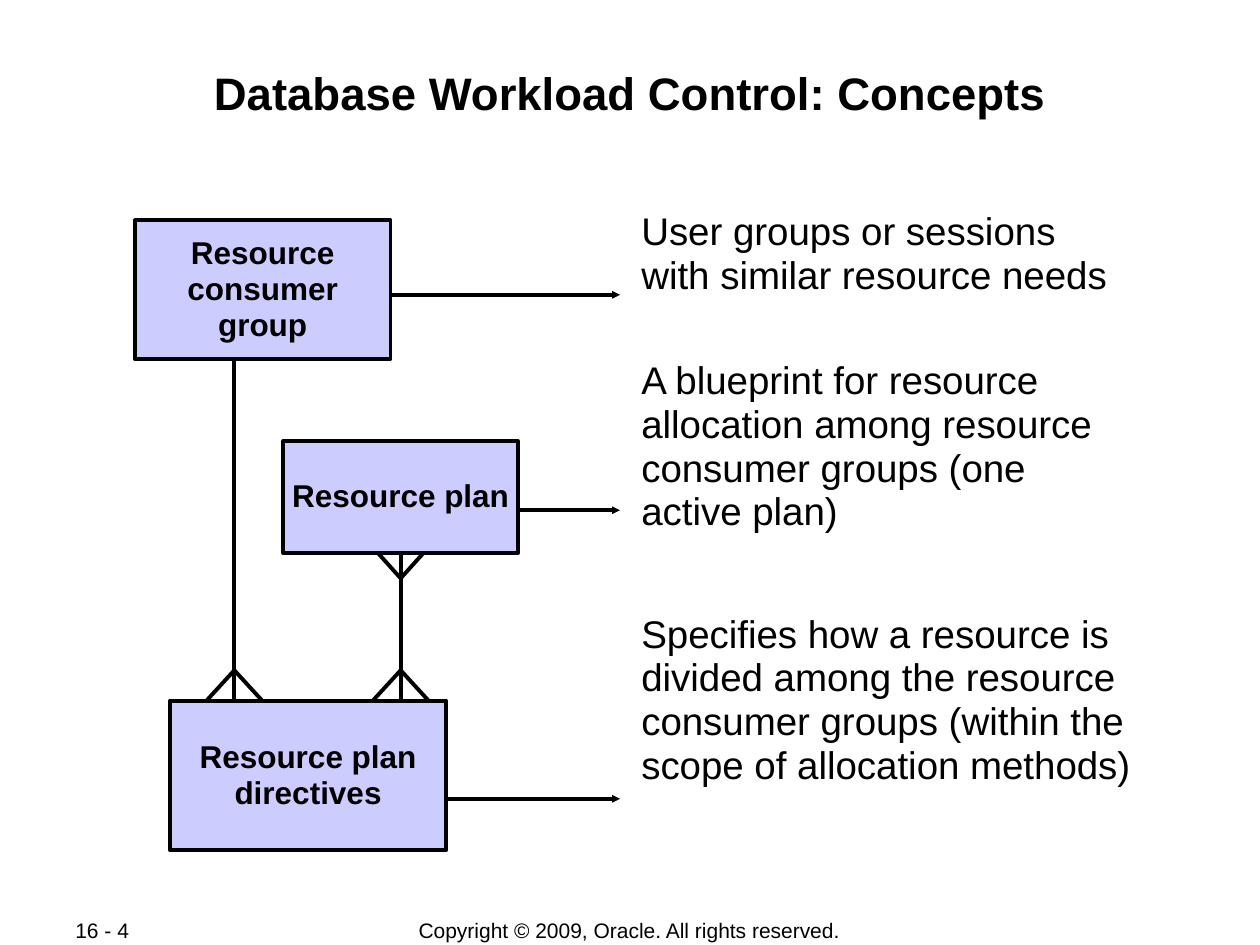
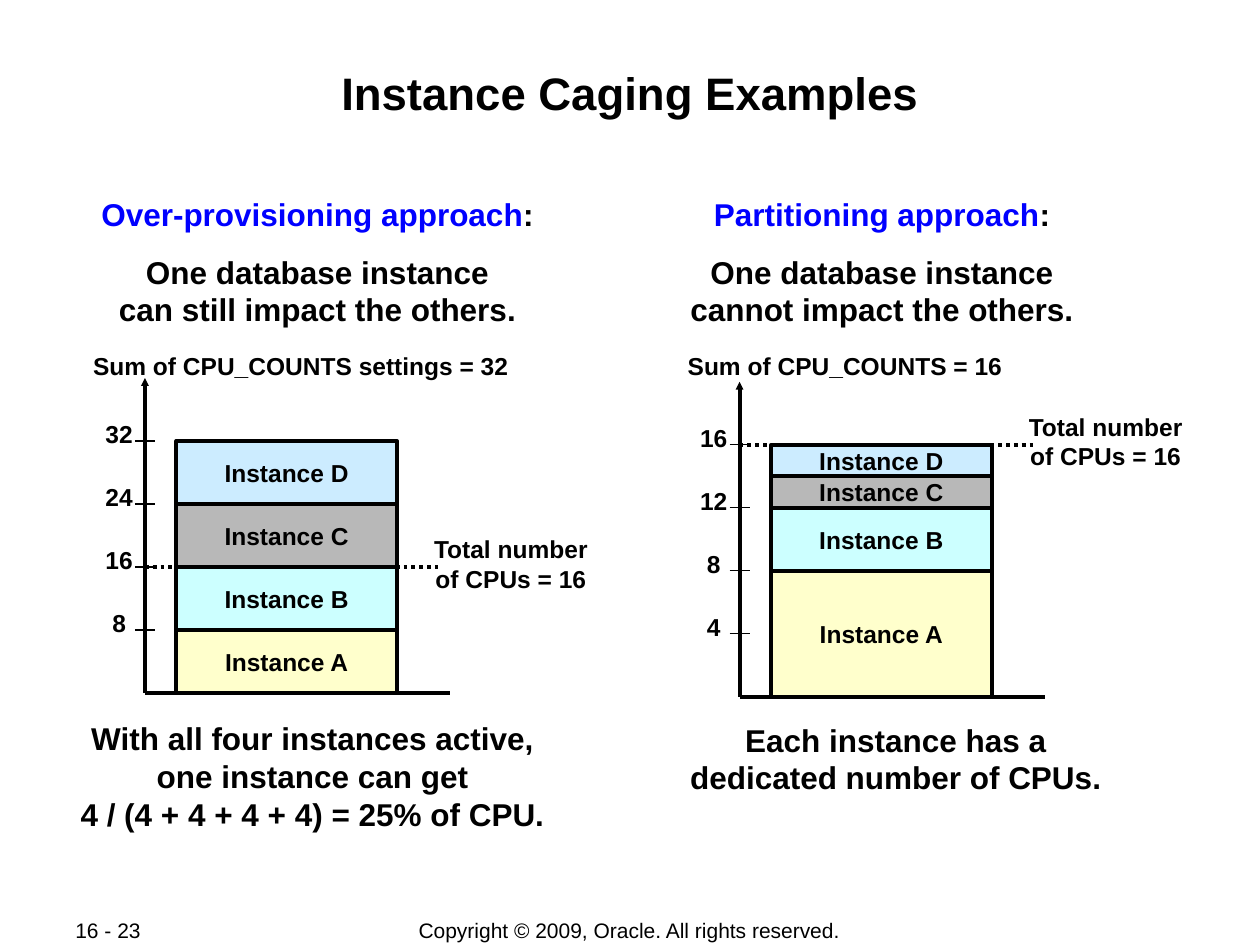
"""Build two database workload slides: concepts and instance caging."""
from lxml.etree import SubElement
from pptx import Presentation
from pptx.dml.color import RGBColor
from pptx.enum.dml import MSO_LINE
from pptx.enum.shapes import MSO_CONNECTOR, MSO_SHAPE
from pptx.enum.text import MSO_ANCHOR, MSO_AUTO_SIZE, PP_ALIGN
from pptx.oxml.ns import qn
from pptx.util import Inches, Pt

WIDTH, HEIGHT = Inches(10), Inches(7.5)
COLUMN, ROW = WIDTH / 100, HEIGHT / 75
FONT = "Arial"
COPYRIGHT = "Copyright © 2009, Oracle. All rights reserved."
COLORS = {
    "ink": "000000", "heading": "0000FF", "concept": "CCCCFF",
    "Instance A": "FFFFCC", "Instance B": "CCFFFF",
    "Instance C": "B8B8B8", "Instance D": "CCECFF",
}
THICK, THIN = 2.25, 0.75
BOTTOM = 2
ARROW_END = 49.2
TICK_STEP = 5
TIGHT, EVEN, WIDE = (0.01, 0.01), (0.05, 0.05), (0.1, 0.05)


def color(name):
    """Return the named palette colour."""
    return RGBColor.from_string(COLORS[name])


def apply(target, values):
    """Set every attribute in values on target."""
    for name, value in values.items():
        setattr(target, name, value)


def area(left, top, width, height):
    """Turn grid columns and rows into slide lengths."""
    return [round(value) for value in
            (left * COLUMN, top * ROW, width * COLUMN, height * ROW)]


def write(frame, paragraphs, size, bold=False, align=PP_ALIGN.LEFT, insets=WIDE,
          anchor=MSO_ANCHOR.TOP, wrap=False, spacing=1.0, gaps=()):
    """Fill a text frame with paragraphs, each a list of (text, colour) pieces."""
    across, down = (Inches(inset) for inset in insets)
    apply(frame, {
        "auto_size": MSO_AUTO_SIZE.NONE, "word_wrap": wrap, "vertical_anchor": anchor,
        "margin_left": across, "margin_right": across,
        "margin_top": down, "margin_bottom": down,
    })
    for index, pieces in enumerate(paragraphs):
        paragraph = frame.add_paragraph() if index else frame.paragraphs[0]
        gap = gaps[index - 1] if index and gaps else 0
        apply(paragraph, {"alignment": align, "line_spacing": spacing,
                          "space_before": Pt(gap)})
        for text, tone in pieces:
            for row, line in enumerate(text.split("\n")):
                if row:
                    paragraph.add_line_break()
                run = paragraph.add_run()
                run.text = line
                apply(run.font, {"name": FONT, "size": Pt(size), "bold": bold})
                run.font.color.rgb = color(tone)


def plain(*texts):
    """Make one black paragraph of each text."""
    return [[(text, "ink")] for text in texts]


def add_text(slide, place, paragraphs, size, **style):
    """Add a text box on the grid."""
    write(slide.shapes.add_textbox(*area(*place)).text_frame, paragraphs, size, **style)


def add_box(slide, place, text, fill, size, **style):
    """Add a bordered rectangle with a bold centred label."""
    shape = slide.shapes.add_shape(MSO_SHAPE.RECTANGLE, *area(*place))
    shape.shadow.inherit = False
    shape.fill.solid()
    shape.fill.fore_color.rgb = color(fill)
    shape.line.color.rgb = color("ink")
    shape.line.width = Pt(THICK)
    write(shape.text_frame, plain(text), size, bold=True, align=PP_ALIGN.CENTER,
          anchor=MSO_ANCHOR.MIDDLE, **style)
    return shape


def add_line(slide, start, end, weight=THICK, arrow=False, dash=None):
    """Add a straight black line between two grid points."""
    connector = slide.shapes.add_connector(
        MSO_CONNECTOR.STRAIGHT, *area(*start, *end))
    connector.line.color.rgb = color("ink")
    apply(connector.line, {"width": Pt(weight), "dash_style": dash})
    if arrow:
        SubElement(connector.line._get_or_add_ln(), qn("a:tailEnd"),
                   type="triangle", w="sm", len="sm")
    SubElement(connector._element.spPr, qn("a:effectLst"))
    return connector


def add_crow_foot(slide, center, side, tip, half):
    """Add the two slanted strokes from a box side to the tip of a crow's foot."""
    for foot in (center - half, center + half):
        add_line(slide, (foot, side), (center, tip))


def add_slide(presentation, title, number):
    """Add a slide with its title, page number and copyright line."""
    slide = presentation.slides.add_slide(presentation.slide_layouts[5])
    heading = slide.shapes.title
    apply(heading, dict(zip(("left", "top", "width", "height"),
                            area(6.7, 5.1, 86.6, 9.6))))
    write(heading.text_frame, plain(title), 26, bold=True,
          align=PP_ALIGN.CENTER, insets=TIGHT, wrap=True)
    add_text(slide, (5, 72.8, 10.6, 2), plain(number), 12, anchor=MSO_ANCHOR.MIDDLE)
    add_text(slide, (27.5, 72.8, 44.9, 2.1), plain(COPYRIGHT), 12,
             align=PP_ALIGN.CENTER, anchor=MSO_ANCHOR.MIDDLE)
    return slide


def add_concept(slide, place, text, arrow_row):
    """Add a concept box and the arrow that leads to its explanation."""
    left, _, width, _ = place
    add_line(slide, (left + width, arrow_row), (ARROW_END, arrow_row), arrow=True)
    return add_box(slide, place, text, "concept", 18,
                   insets=EVEN, wrap=True, spacing=0.95)


def add_concepts_slide(presentation):
    """Show the three concepts, their relations and their meanings."""
    slide = add_slide(presentation, "Database Workload Control: Concepts", "16 - 4")
    group_bottom, plan_bottom, directives_top = 28.5, 43.9, 55.6
    group_link, plan_link, tip = 18.6, 31.8, 53.2
    add_concept(slide, (10.7, 17.5, 20.3, 11), "Resource consumer group", 23.4)
    plan = add_concept(slide, (22.5, 35, 18.6, 8.9), "Resource plan", 40.5)
    add_concept(slide, (13.5, directives_top, 21.9, 11.9),
                "Resource plan directives", 63.4)
    add_line(slide, (group_link, group_bottom), (group_link, directives_top))
    link = add_line(slide, (plan_link, plan_bottom), (plan_link, directives_top))
    link.begin_connect(plan, BOTTOM)
    for center in (group_link, plan_link):
        add_crow_foot(slide, center, directives_top, tip, 2.2)
    add_crow_foot(slide, plan_link, plan_bottom, 45.9, 1.8)
    add_text(slide, (50.8, 16.6, 39.2, 49.3), plain(
        "User groups or sessions with similar resource needs",
        "A blueprint for resource allocation among resource consumer groups "
        "(one active plan)",
        "Specifies how a resource is divided among the resource consumer groups "
        "(within the scope of allocation methods)",
    ), 22, insets=TIGHT, wrap=True, spacing=0.95, gaps=(35, 44.7))


def add_cpu_stack(slide, axis, base, cpus_per_tick, counts):
    """Add a CPU axis with ticks, stacked instances and the line of available CPUs."""
    def level(cpus):
        """Return the grid row of a CPU count."""
        return base - cpus / cpus_per_tick * TICK_STEP

    add_line(slide, (axis, base), (axis, base - 25), arrow=True)
    add_line(slide, (axis, base), (axis + 24.2, base))
    total = 0
    for name, count in counts.items():
        total += count
        add_box(slide, (axis + 2.5, level(total), 17.5, level(0) - level(count)),
                name, name, 14)
    for cpus in range(cpus_per_tick, total + 1, cpus_per_tick):
        row = level(cpus)
        add_line(slide, (axis - 0.8, row), (axis + 0.8, row), weight=THIN)
        add_text(slide, (axis - 4.1, row - 2.2, 4.1, 3.4), plain(str(cpus)), 14,
                 bold=True, align=PP_ALIGN.CENTER)
    limit = level(16)
    add_line(slide, (axis, limit), (axis + 23.3, limit), dash=MSO_LINE.ROUND_DOT)
    add_text(slide, (axis + 21.6, limit - 3.1, 14.9, 5.7),
             plain("Total number", "of CPUs = 16"), 14,
             bold=True, align=PP_ALIGN.CENTER)


def add_approach(slide, heading, effect, heading_place, total, total_place,
                 result, result_place):
    """Add the heading, CPU total and conclusion around one stack."""
    centered = {"bold": True, "align": PP_ALIGN.CENTER}
    add_text(slide, heading_place, [[(heading, "heading"), (":", "ink")],
                                    [(effect, "ink")]], 18, gaps=(11.2,), **centered)
    add_text(slide, total_place, plain(total), 14, bold=True)
    add_text(slide, result_place, plain(result), 18, **centered)


def add_caging_slide(presentation):
    """Compare over-provisioning with partitioning."""
    slide = add_slide(presentation, "Instance Caging Examples", "16 - 23")
    names = [name for name in COLORS if name.startswith("Instance")]
    add_cpu_stack(slide, 11.5, 55, 8, dict.fromkeys(names, 8))
    add_cpu_stack(slide, 58.7, 55.3, 4, dict(zip(names, (8, 4, 2, 2))))
    add_approach(
        slide, "Over-provisioning approach",
        "One database instance\ncan still impact the others.", (6.7, 15, 37, 11.6),
        "Sum of CPU_COUNTS settings = 32", (6.4, 27.4, 35, 3.4),
        "With all four instances active,\none instance can get\n"
        "4 / (4 + 4 + 4 + 4) = 25% of CPU.", (5.4, 56.6, 38.8, 10))
    add_approach(
        slide, "Partitioning approach",
        "One database instance\ncannot impact the others.", (53.8, 15, 32.4, 11.6),
        "Sum of CPU_COUNTS = 16", (53.6, 27.4, 27, 3.4),
        "Each instance has a\ndedicated number of CPUs.", (53.8, 56.7, 34.6, 7))


def main():
    """Build and save the presentation."""
    presentation = Presentation()
    apply(presentation, {"slide_width": WIDTH, "slide_height": HEIGHT})
    add_concepts_slide(presentation)
    add_caging_slide(presentation)
    presentation.save("out.pptx")


if __name__ == "__main__":
    main()
